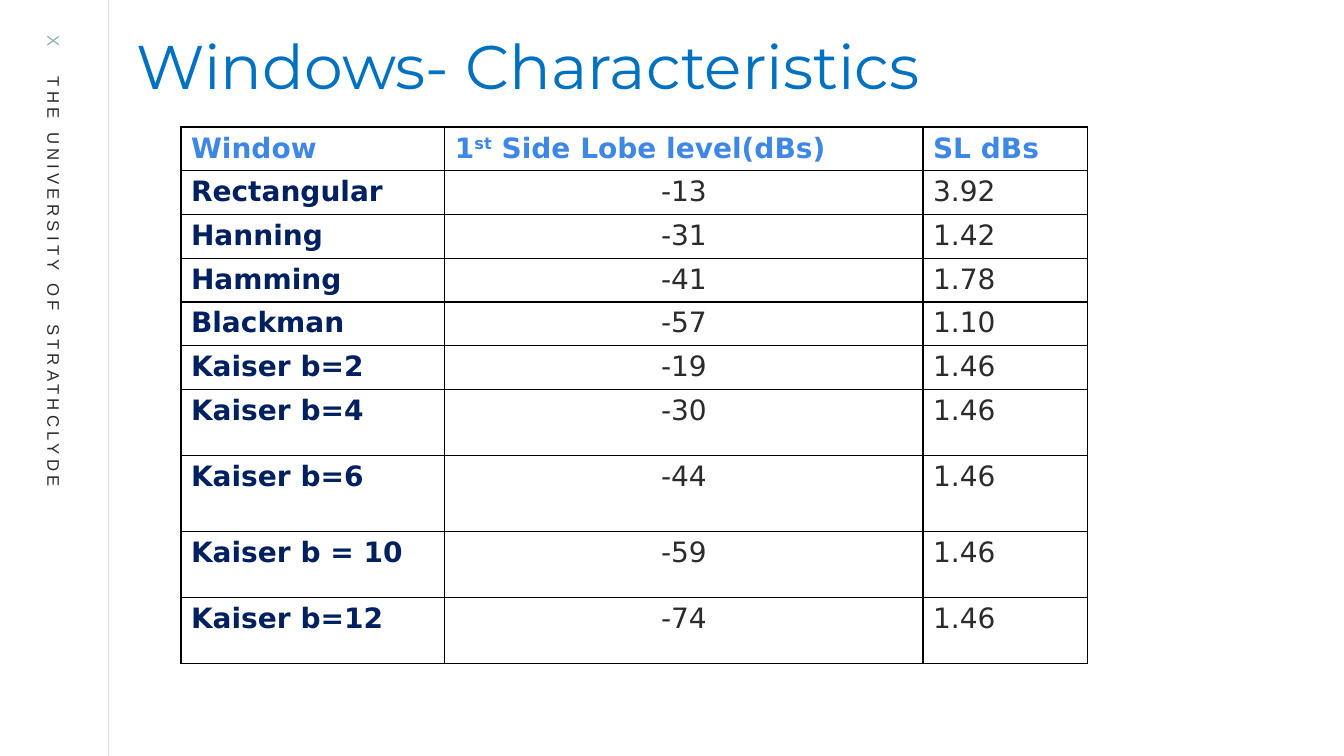
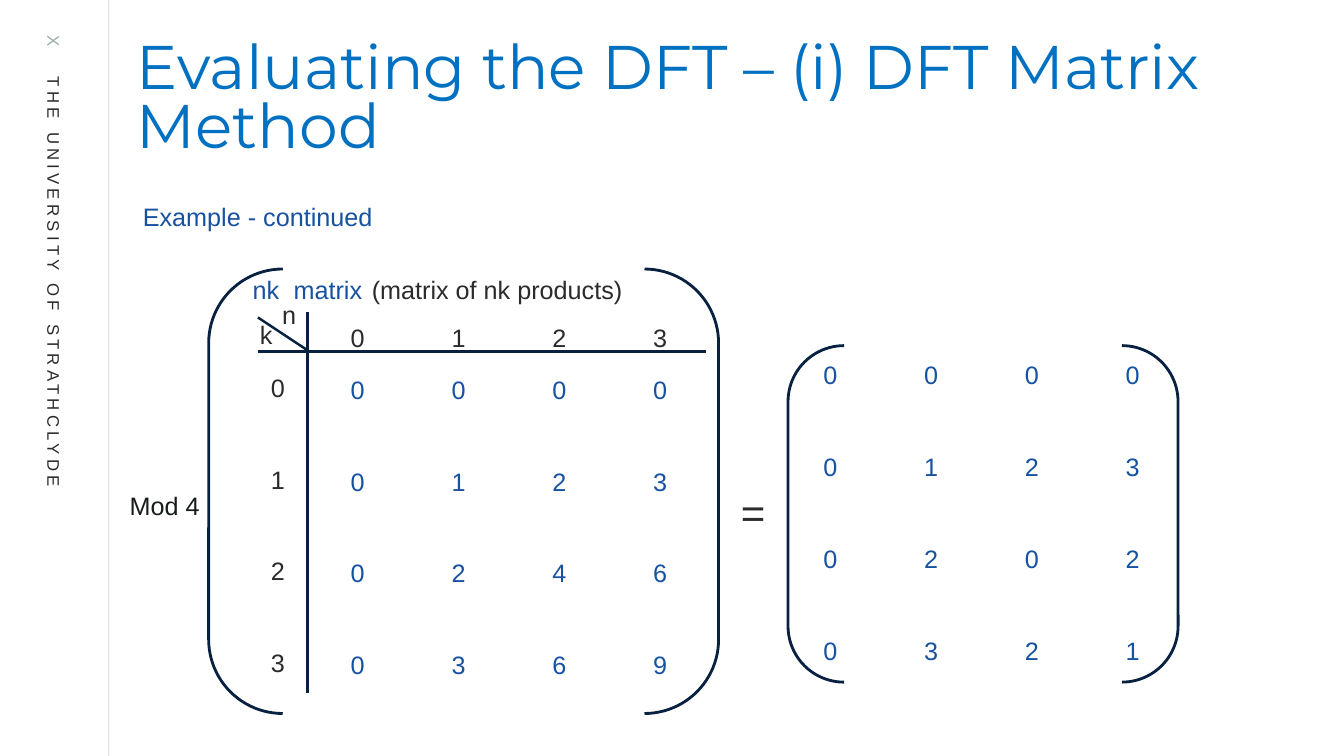
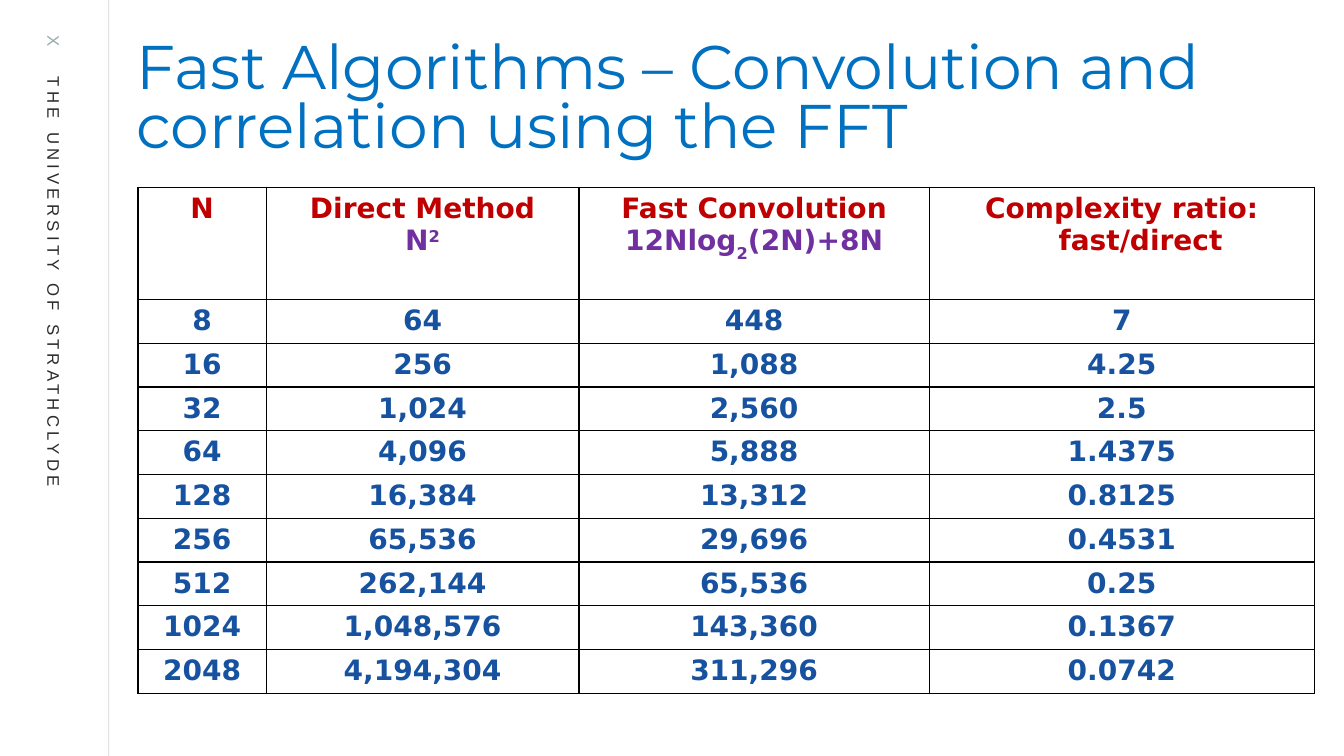
from dataclasses import dataclass

from lxml import etree
from pptx import Presentation
from pptx import util as u
from pptx.dml.color import RGBColor
from pptx.enum import shapes, text
from pptx.oxml.ns import qn


@dataclass(frozen=True)
class Theme:
    title: str = "0070C0"
    ink: str = "2B2B2B"
    grey: str = "95ACAC"
    heading: str = "3F87E4"
    navy: str = "002060"
    stroke: str = "092140"
    blue: str = "1652A0"
    dark: str = "161C1C"
    red: str = "C00000"
    purple: str = "7030A0"
    border: str = "000000"
    title_font: str = "Montserrat"
    body_font: str = "Arial"
    table_font: str = "DejaVu Sans"
    title_size: int = 44
    equals_size: int = 30
    table_size: int = 20
    body_size: int = 18
    strip_size: int = 12


T = Theme()
LEFT, CENTER = text.PP_ALIGN.LEFT, text.PP_ALIGN.CENTER
SUPER, SUB = 30000, -30000

STRIP = ("X", "\tTHE UNIVERSITY OF STRATHCLYDE")
TITLES = (
    "Windows- Characteristics",
    "Evaluating the DFT – (i) DFT Matrix Method",
    "Fast Algorithms – Convolution and correlation using the FFT",
)

WINDOW_HEADER = (
    [["Window"]],
    [["1", ("st", SUPER), " Side Lobe level(dBs)"]],
    [["SL dBs"]],
)
WINDOWS = (
    ("Rectangular", "-13", "3.92"),
    ("Hanning", "-31", "1.42"),
    ("Hamming", "-41", "1.78"),
    ("Blackman", "-57", "1.10"),
    ("Kaiser b=2", "-19", "1.46"),
    ("Kaiser b=4", "-30", "1.46"),
    ("Kaiser b=6", "-44", "1.46"),
    ("Kaiser b = 10", "-59", "1.46"),
    ("Kaiser b=12", "-74", "1.46"),
)
WINDOW_COLUMNS = (6.65, 12.05, 4.15)
WINDOW_ROWS = (1.08,) * 6 + (1.66, 1.93, 1.66, 1.66)

COST_HEADER = (
    [["N"]],
    [["Direct Method"], ["N", ("2", SUPER)]],
    [["Fast Convolution"], ["12Nlog", ("2", SUB), "(2N)+8N"]],
    [["Complexity ratio: fast/direct"]],
)
COSTS = (
    ("8", "64", "448", "7"),
    ("16", "256", "1,088", "4.25"),
    ("32", "1,024", "2,560", "2.5"),
    ("64", "4,096", "5,888", "1.4375"),
    ("128", "16,384", "13,312", "0.8125"),
    ("256", "65,536", "29,696", "0.4531"),
    ("512", "262,144", "65,536", "0.25"),
    ("1024", "1,048,576", "143,360", "0.1367"),
    ("2048", "4,194,304", "311,296", "0.0742"),
)
COST_COLUMNS = (3.23, 7.88, 8.83, 9.7)
COST_ROWS = (2.83,) + (1.08,) * 9

INDICES = range(4)
MATRIX_TABS = (2.54, 5.08, 7.62)
MATRIX_GAP = 44


def tabbed(values):
    return "\t".join(str(value) for value in values)


INDEX_ROW = tabbed(INDICES)
INDEX_COLUMN = [str(k) for k in INDICES]
PRODUCTS = [tabbed(n * k for n in INDICES) for k in INDICES]
MODULO = [tabbed(n * k % 4 for n in INDICES) for k in INDICES]

LABELS = (
    (["Example - continued"], (3.35, 4.95, 6.35, 1.02), T.blue, ()),
    (["nk\tmatrix"], (6.12, 6.78, 3.3, 1.02), T.blue, (1.03,)),
    (["(matrix of nk products)"], (9.12, 6.78, 6.88, 1.02), T.ink, ()),
    ([INDEX_ROW], (8.59, 8, 8.56, 1.02), T.ink, MATRIX_TABS),
    (["n"], (6.86, 7.42, 0.87, 1.02), T.ink, ()),
    (["k"], (6.3, 7.92, 0.85, 1.02), T.ink, ()),
    (INDEX_COLUMN, (6.58, 9.25, 0.87, 7.95), T.ink, ()),
    (PRODUCTS, (8.59, 9.3, 8.56, 7.95), T.blue, MATRIX_TABS),
    (["Mod 4"], (3.02, 12.22, 2.3, 1.02), T.dark, ()),
    (MODULO, (20.5, 8.94, 8.56, 7.95), T.blue, MATRIX_TABS),
)
RULES = (
    (6.5, 8.86, 17.78, 8.86),
    (7.75, 7.85, 7.75, 17.45),
    (6.5, 8, 7.8, 8.86),
)
BRACKETS = ((5.26, 6.78, 12.85, 11.2), (19.86, 8.71, 9.83, 8.48))


def cm(values):
    return [u.Cm(value) for value in values]


def style(font, name, size, colour, bold=False):
    font.name, font.size, font.bold = name, u.Pt(size), bold
    font.color.rgb = RGBColor.from_string(colour)


def add_tabs(paragraph, stops):
    if stops:
        tabs = etree.SubElement(paragraph._p.get_or_add_pPr(), qn("a:tabLst"))
        for stop in stops:
            etree.SubElement(tabs, qn("a:tab"), pos=str(u.Cm(stop)), algn="l")


def add_text(slide, lines, box, name, size, colour, tabs=(), gap=0):
    shape = slide.shapes.add_textbox(*cm(box))
    frame = shape.text_frame
    frame.word_wrap = True
    for index, line in enumerate(lines):
        paragraph = frame.add_paragraph() if index else frame.paragraphs[0]
        paragraph.add_run().text = line
        if index:
            paragraph.space_before = u.Pt(gap)
        add_tabs(paragraph, tabs)
        style(paragraph.font, name, size, colour)
    return shape


def add_line(slide, ends, colour, width, alpha=None):
    line = slide.shapes.add_connector(shapes.MSO_CONNECTOR.STRAIGHT, *cm(ends))
    line.line.color.rgb = RGBColor.from_string(colour)
    line.line.width = u.Pt(width)
    if alpha:
        fill = line._element.spPr.find(".//" + qn("a:srgbClr"))
        etree.SubElement(fill, qn("a:alpha"), val=str(alpha * 1000))
    etree.SubElement(line._element.spPr, qn("a:effectLst"))


def add_page(presentation, title):
    slide = presentation.slides.add_slide(presentation.slide_layouts[6])
    add_line(slide, (2.74, 0, 2.74, 19.05), T.ink, 0.5, alpha=20)
    mark, university = STRIP
    strip = add_text(slide, [mark], (-5.84, 7.47, 14.4, 0.76),
                     T.body_font, T.strip_size, T.ink, tabs=(1.04,))
    strip.rotation = 90
    paragraph = strip.text_frame.paragraphs[0]
    paragraph.add_run().text = university
    paragraph.runs[0].font.color.rgb = RGBColor.from_string(T.grey)
    for run in paragraph.runs:
        run._r.get_or_add_rPr().set("spc", "300")
    heading = add_text(slide, [title], (3.45, 0.53, 30.4, 2),
                       T.title_font, T.title_size, T.title)
    frame = heading.text_frame
    frame.margin_left = frame.margin_right = frame.margin_bottom = 0
    frame.margin_top = u.Cm(0.53)
    frame.paragraphs[0].line_spacing = 0.8
    return slide


def add_border(cell):
    properties = cell._tc.get_or_add_tcPr()
    for side in ("a:lnL", "a:lnR", "a:lnT", "a:lnB"):
        line = etree.SubElement(properties, qn(side), w=str(u.Pt(1)))
        fill = etree.SubElement(line, qn("a:solidFill"))
        etree.SubElement(fill, qn("a:srgbClr"), val=T.border)


def fill_cell(cell, lines, colours, bold, align):
    add_border(cell)
    cell.fill.background()
    for index, runs in enumerate(lines):
        frame = cell.text_frame
        paragraph = frame.add_paragraph() if index else frame.paragraphs[0]
        paragraph.alignment = align
        properties = paragraph._p.get_or_add_pPr()
        properties.set("marL", str(u.Cm(0.95)))
        properties.set("indent", str(-u.Cm(0.95)))
        style(paragraph.font, T.table_font, T.table_size, colours[index], bold)
        for part in runs:
            words, baseline = (part, 0) if isinstance(part, str) else part
            run = paragraph.add_run()
            run.text = words
            if baseline:
                run._r.get_or_add_rPr().set("baseline", str(baseline))


def add_grid(slide, corner, widths, heights, header, header_style, rows, column_styles):
    size = (sum(widths), sum(heights))
    table = slide.shapes.add_table(len(heights), len(widths), *cm(corner + size)).table
    table.first_row = table.horz_banding = False
    for column, width in zip(table.columns, widths):
        column.width = u.Cm(width)
    for row, height in zip(table.rows, heights):
        row.height = u.Cm(height)
    for index, lines in enumerate(header):
        fill_cell(table.cell(0, index), lines, *header_style)
    for row_index, values in enumerate(rows, 1):
        for index, value in enumerate(values):
            fill_cell(table.cell(row_index, index), [[value]], *column_styles[index])


def build_windows(presentation):
    slide = add_page(presentation, TITLES[0])
    columns = (((T.navy,), True, LEFT), ((T.ink,), False, CENTER), ((T.ink,), False, LEFT))
    add_grid(slide, (4.56, 3.2), WINDOW_COLUMNS, WINDOW_ROWS, WINDOW_HEADER,
             ((T.heading,), True, LEFT), WINDOWS, columns)


def build_matrix(presentation):
    slide = add_page(presentation, TITLES[1])
    for lines, box, colour, tabs in LABELS:
        add_text(slide, lines, box, T.body_font, T.body_size, colour, tabs, MATRIX_GAP)
    add_text(slide, ["="], (18.42, 12.14, 1.15, 1.55), T.body_font, T.equals_size, T.ink)
    for ends in RULES:
        add_line(slide, ends, T.stroke, 1.75)
    for box in BRACKETS:
        bracket = slide.shapes.add_shape(shapes.MSO_SHAPE.DOUBLE_BRACKET, *cm(box))
        bracket.shadow.inherit = False
        bracket.fill.background()
        bracket.line.color.rgb = RGBColor.from_string(T.stroke)
        bracket.line.width = u.Pt(2)


def build_costs(presentation):
    slide = add_page(presentation, TITLES[2])
    add_grid(slide, (3.48, 4.72), COST_COLUMNS, COST_ROWS, COST_HEADER,
             ((T.red, T.purple), True, CENTER), COSTS,
             (((T.blue,), True, CENTER),) * len(COST_COLUMNS))


def main():
    presentation = Presentation()
    presentation.slide_width, presentation.slide_height = cm((33.87, 19.05))
    build_windows(presentation)
    build_matrix(presentation)
    build_costs(presentation)
    presentation.save("out.pptx")


if __name__ == "__main__":
    main()
